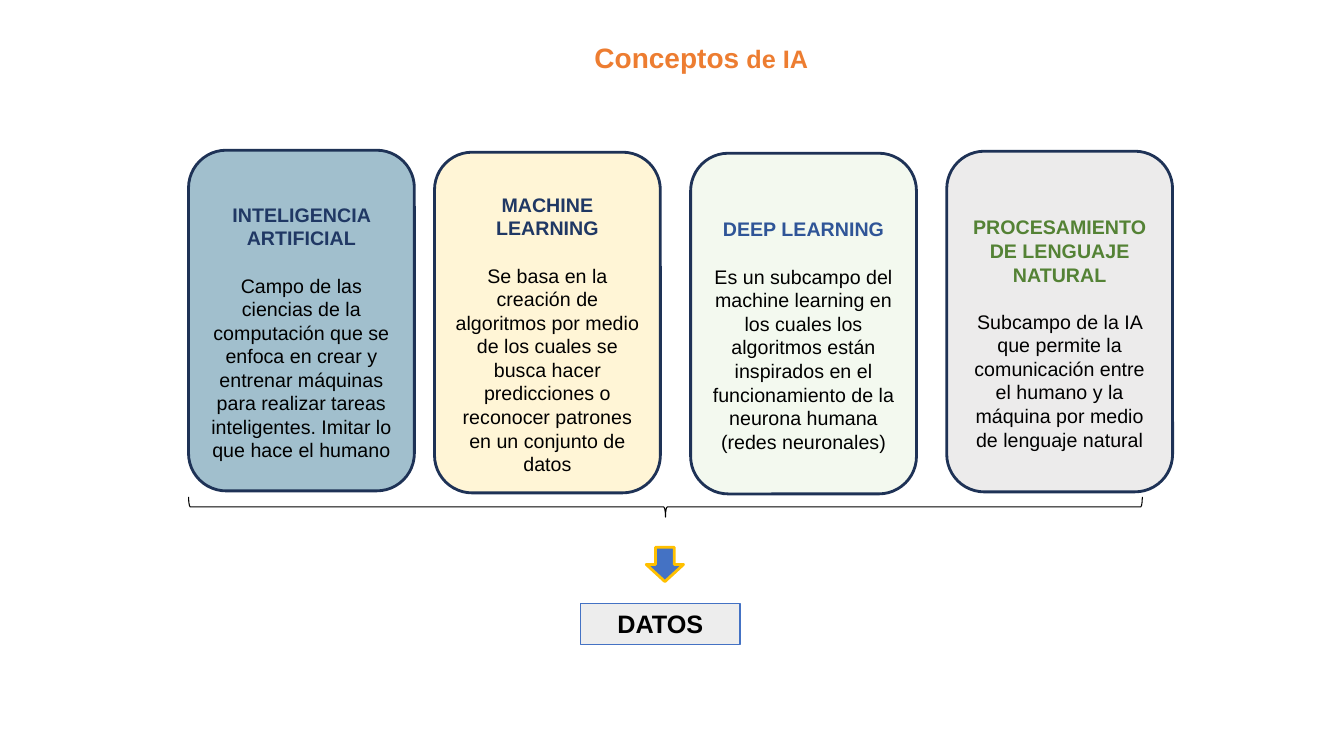
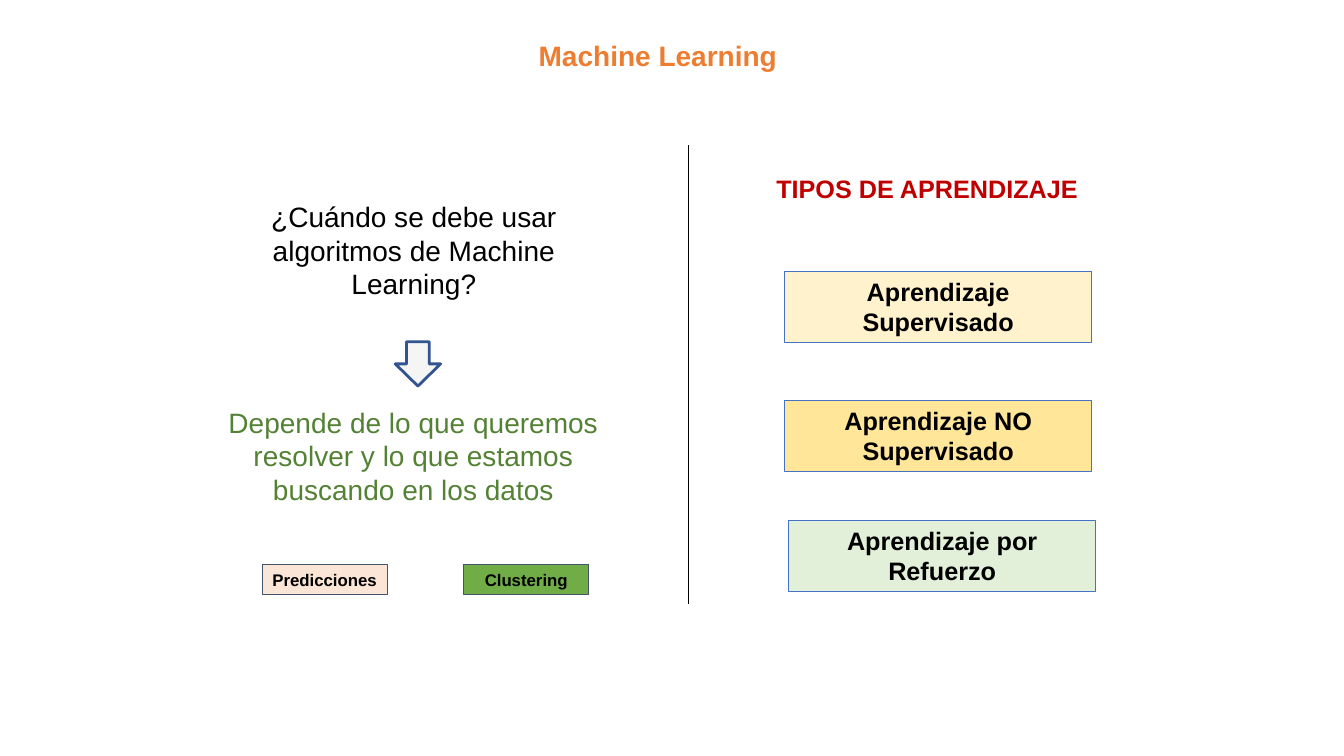
from lxml import etree
from pptx import Presentation
from pptx import util as u
from pptx.dml.color import RGBColor
from pptx.enum import shapes, text
from pptx.oxml.ns import qn

PX = 9144  # 100 px to the inch
FONT = "Arial"
BLACK, ORANGE, RED = "000000", "ED7D31", "C00000"
NAVY, BLUE, GREEN = "203864", "4472C4", "548235"
CARD_LINE, TAG_LINE = "1E3256", "44546A"
CREAM, YELLOW, MINT = "FFF2CC", "FFE699", "E2F0D9"
TOP, MIDDLE = text.MSO_ANCHOR.TOP, text.MSO_ANCHOR.MIDDLE
CARD_WIDTH, CARD_HEIGHT, CARD_ALPHA = 224, 338, 40

# left, top, fill, heading colour, heading, body paragraphs
CARDS = [
    (187, 149, "156082", NAVY, "INTELIGENCIA ARTIFICIAL",
     ["Campo de las ciencias de la computación que se enfoca en crear y entrenar "
      "máquinas para realizar tareas inteligentes. Imitar lo que hace el humano"]),
    (431, 151, YELLOW, NAVY, "MACHINE LEARNING",
     ["Se basa en la creación de algoritmos por medio de los cuales se busca hacer "
      "predicciones o reconocer patrones en un conjunto de datos"]),
    (685, 152, MINT, "2F5597", "DEEP LEARNING",
     ["Es un subcampo del machine learning en los cuales los algoritmos están "
      "inspirados en el funcionamiento de la neurona humana",
      "(redes neuronales)"]),
    (939, 150, "D0CECE", GREEN, "PROCESAMIENTO DE LENGUAJE NATURAL",
     ["Subcampo de la IA que permite la comunicación entre el humano y la máquina "
      "por medio de lenguaje natural"]),
]

# left, top, fill, label
LEARNING_TYPES = [
    (778, 269, CREAM, "Aprendizaje Supervisado"),
    (778, 397, YELLOW, "Aprendizaje NO Supervisado"),
    (782, 516, MINT, "Aprendizaje por Refuerzo"),
]


def color(value):
    return RGBColor.from_string(value)


def px(*lengths):
    return [u.Emu(length * PX) for length in lengths]


def add_text(frame, content, size=18, ink=BLACK, bold=False, before=0, spacing=None):
    """Append one centred paragraph; content is a string or (string, size) pairs."""
    first = frame.paragraphs[0]
    paragraph = first if not first.runs else frame.add_paragraph()
    paragraph.alignment = text.PP_ALIGN.CENTER
    if before:
        paragraph.space_before = u.Pt(before)
    if spacing:
        paragraph.line_spacing = spacing
    runs = [(content, size)] if isinstance(content, str) else content
    for words, run_size in runs:
        run = paragraph.add_run()
        run.text = words
        run.font.name = FONT
        run.font.size = u.Pt(run_size)
        run.font.bold = bold
        run.font.color.rgb = color(ink)


def set_frame(frame, anchor=TOP, insets=(10, 5, 10, 5)):
    frame.word_wrap = True
    frame.vertical_anchor = anchor
    (frame.margin_left, frame.margin_top,
     frame.margin_right, frame.margin_bottom) = px(*insets)


def add_shape(slide, kind, box, fill=None, line=BLACK, weight=0.75, alpha=None):
    shape = slide.shapes.add_shape(kind, *px(*box))
    shape.shadow.inherit = False
    if fill:
        shape.fill.solid()
        shape.fill.fore_color.rgb = color(fill)
    else:
        shape.fill.background()
    if alpha:
        solid = shape.fill._xPr.find(qn("a:solidFill"))
        etree.SubElement(solid[0], qn("a:alpha"), val=str(alpha * 1000))
    shape.line.color.rgb = color(line)
    shape.line.width = u.Pt(weight)
    return shape


def add_label(slide, box, content, fill, line=BLUE, size=18):
    shape = add_shape(slide, shapes.MSO_SHAPE.RECTANGLE, box, fill, line)
    set_frame(shape.text_frame)
    add_text(shape.text_frame, content, size=size, bold=True)


def add_text_box(slide, box, content, **style):
    frame = slide.shapes.add_textbox(*px(*box)).text_frame
    set_frame(frame)
    add_text(frame, content, **style)


def add_heading(slide, box, content, ink=ORANGE):
    frame = slide.shapes.add_textbox(*px(*box)).text_frame
    set_frame(frame, MIDDLE, (0, 0, 0, 0))
    add_text(frame, content, ink=ink, bold=True, spacing=0.9)


def add_down_arrow(slide, box, fill, line):
    add_shape(slide, shapes.MSO_SHAPE.DOWN_ARROW, box, fill, line, 2)


def add_card(slide, left, top, fill, ink, heading, body):
    card = add_shape(slide, shapes.MSO_SHAPE.ROUNDED_RECTANGLE,
                     (left, top, CARD_WIDTH, CARD_HEIGHT),
                     fill, CARD_LINE, 2, CARD_ALPHA)
    # The deep top inset sets the text a little below the middle
    set_frame(card.text_frame, MIDDLE, (10, 28, 10, 5))
    add_text(card.text_frame, heading, size=14, ink=ink, bold=True)
    for index, words in enumerate(body):
        add_text(card.text_frame, words, size=14, before=0 if index else 17)


def add_divider(slide, x, top, bottom):
    divider = slide.shapes.add_connector(
        shapes.MSO_CONNECTOR.STRAIGHT, *px(x, top, x, bottom))
    divider.line.color.rgb = color(BLACK)
    divider.line.width = u.Pt(0.75)
    etree.SubElement(divider._element.spPr, qn("a:effectLst"))


def build_concepts(slide):
    for card in CARDS:
        add_card(slide, *card)
    add_heading(slide, (543, 40, 305, 38), [("Conceptos", 20), (" de IA", 18)])
    # Brace, arrow and common base
    add_down_arrow(slide, (641, 543, 37, 34), BLUE, "FFC000")
    add_label(slide, (576, 599, 158, 40), "DATOS", "EDEDED")
    brace = add_shape(slide, shapes.MSO_SHAPE.RIGHT_BRACE, (650, 30, 20, 946))
    brace.rotation = 90


def build_machine_learning(slide):
    add_text_box(slide, (437, 33, 431, 44), "Machine Learning",
                 size=20, ink=ORANGE, bold=True)
    add_divider(slide, 683, 144, 599)
    # Question and answer
    add_text_box(slide, (221, 193, 379, 111),
                 "¿Cuándo se debe usar algoritmos de Machine Learning?", size=20)
    add_down_arrow(slide, (392, 339, 45, 44), "F5F5F5", "325491")
    add_text_box(slide, (205, 397, 410, 111),
                 "Depende de lo que queremos resolver y lo que estamos buscando en los datos",
                 size=20, ink=GREEN)
    for left, words, fill in ((260, "Predicciones", "FBE5D6"),
                              (460, "Clustering", "70AD47")):
        add_label(slide, (left, 560, 124, 30), words, fill, TAG_LINE, 12)
    # Types of learning
    add_heading(slide, (767, 170, 305, 38), "TIPOS DE APRENDIZAJE", RED)
    for left, top, fill, words in LEARNING_TYPES:
        add_label(slide, (left, top, 305, 71), words, fill)


def main():
    presentation = Presentation()
    presentation.slide_width, presentation.slide_height = px(1333, 750)
    blank = presentation.slide_layouts[6]
    for build in (build_concepts, build_machine_learning):
        build(presentation.slides.add_slide(blank))
    presentation.save("out.pptx")


if __name__ == "__main__":
    main()
